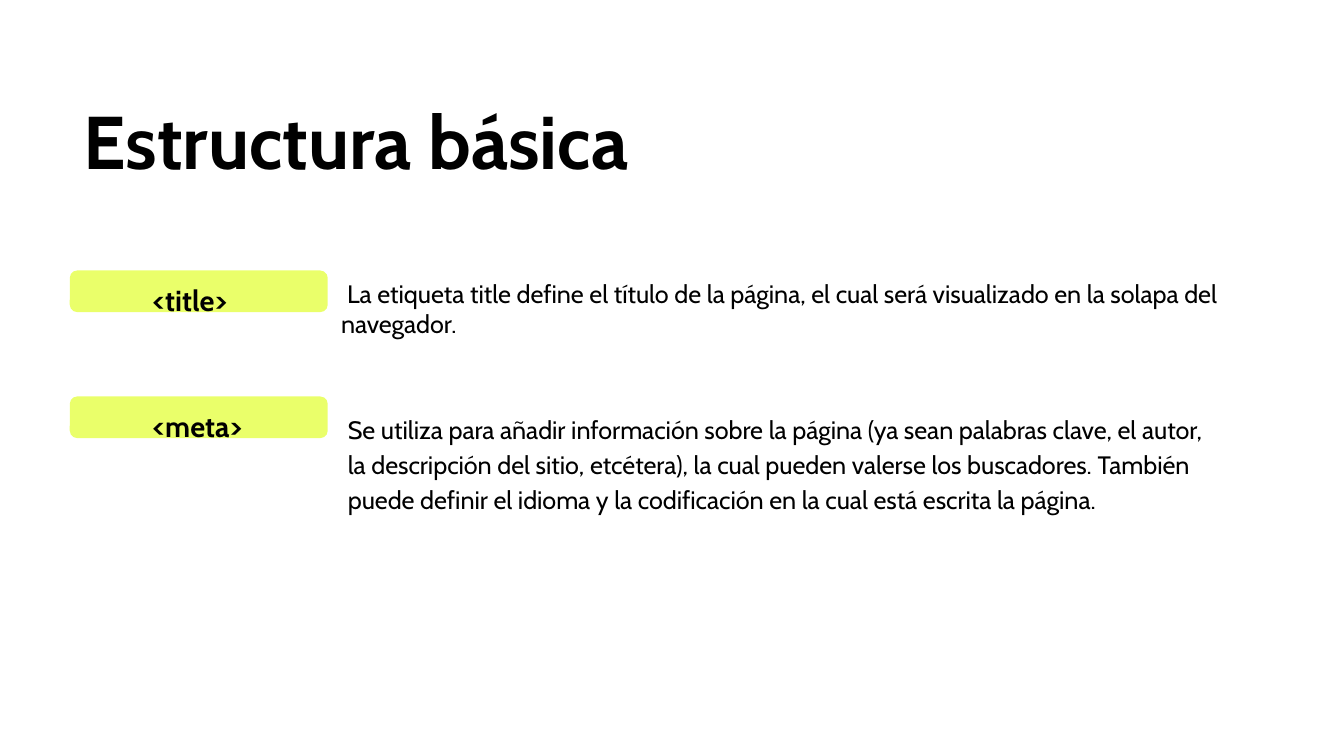
from pptx import Presentation
from pptx.dml.color import RGBColor
from pptx.enum.shapes import MSO_SHAPE
from pptx.enum.text import MSO_ANCHOR, MSO_AUTO_SIZE, PP_ALIGN
from pptx.util import Pt

BLACK = RGBColor(0x00, 0x00, 0x00)
LIME = RGBColor(0xEA, 0xFF, 0x6A)
FONT = "Cabin"
LEFT = 37.4


def write(shape, text, size=13.5, bold=False, space=1.0, indent=0,
          anchor=MSO_ANCHOR.TOP):
    """Fill a shape with one formatted paragraph."""
    frame = shape.text_frame
    frame.word_wrap = True
    frame.auto_size = MSO_AUTO_SIZE.NONE
    frame.vertical_anchor = anchor
    frame.margin_left = frame.margin_right = Pt(7.2)
    frame.margin_top = frame.margin_bottom = Pt(7.2)
    frame.text = text
    para = frame.paragraphs[0]
    para.alignment = PP_ALIGN.LEFT
    para.line_spacing = space
    para.space_before = Pt(0)
    # First-line indent
    props = para._p.get_or_add_pPr()
    props.set("marL", "0")
    props.set("indent", str(Pt(indent)))
    font = para.runs[0].font
    font.name = FONT
    font.size = Pt(size)
    font.bold = bold
    font.color.rgb = BLACK


class Deck:
    def __init__(self, width, height):
        self.file = Presentation()
        self.file.slide_width = Pt(width)
        self.file.slide_height = Pt(height)
        self.slide = self.file.slides.add_slide(self.file.slide_layouts[5])

    def title(self, text, left, top, width, height):
        shape = self.slide.shapes.title
        shape.left, shape.top = Pt(left), Pt(top)
        shape.width, shape.height = Pt(width), Pt(height)
        write(shape, text, size=40, bold=True, space=0.9)

    def note(self, text, left, top, width, height, **form):
        box = self.slide.shapes.add_textbox(
            Pt(left), Pt(top), Pt(width), Pt(height))
        write(box, text, **form)

    def tag(self, text, left, top, width=138.2, height=22.3):
        pill = self.slide.shapes.add_shape(
            MSO_SHAPE.ROUNDED_RECTANGLE,
            Pt(left), Pt(top), Pt(width), Pt(height))
        pill.adjustments[0] = 0.18
        pill.shadow.inherit = False
        pill.fill.solid()
        pill.fill.fore_color.rgb = LIME
        pill.line.fill.background()
        write(pill, text, size=15.5, bold=True, space=1.5, indent=36,
              anchor=MSO_ANCHOR.MIDDLE)


def main():
    deck = Deck(720, 405)
    deck.title("Estructura básica", LEFT, 49, 640.8, 58.3)

    # Descriptions
    deck.note("La etiqueta title define el título de la página, el cual "
              "será visualizado en la solapa del navegador.",
              175.7, 141.8, 505.4, 47.5, indent=3.2)
    deck.note("Se utiliza para añadir información sobre la página (ya sean "
              "palabras clave, el autor, la descripción del sitio, "
              "etcétera), la cual pueden valerse los buscadores. También "
              "puede definir el idioma y la codificación en la cual está "
              "escrita la página.",
              179.3, 212.4, 478.1, 87.1, space=1.15)

    # Tag names
    for row, name in enumerate(("<title>", "<meta>")):
        deck.tag(name, LEFT, 144.9 + row * 67.5)

    deck.file.save("out.pptx")


if __name__ == "__main__":
    main()
